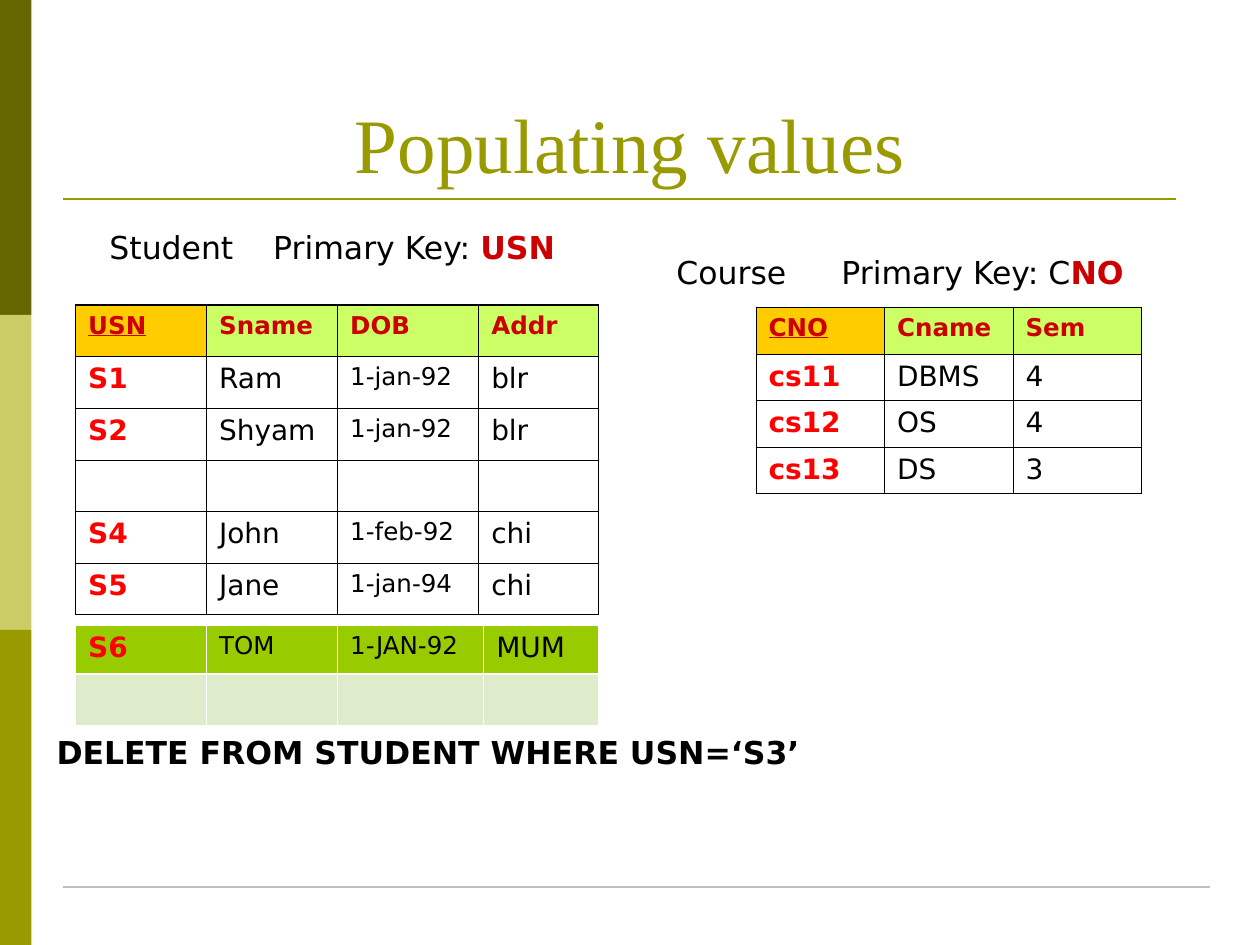
from dataclasses import dataclass

import pptx
import pptx.dml.color
import pptx.enum.shapes
import pptx.enum.text
import pptx.oxml
import pptx.oxml.ns
import pptx.util
from lxml import etree

Inches = pptx.util.Inches
Pt = pptx.util.Pt
rgb = pptx.dml.color.RGBColor.from_string
qn = pptx.oxml.ns.qn


@dataclass(frozen=True)
class Theme:
    title_font: str = "Times New Roman"
    text_font: str = "DejaVu Sans"
    title_size: int = 44
    label_size: int = 18
    value_size: int = 16
    small_size: int = 14
    black: str = "000000"
    white: str = "FFFFFF"
    dark_olive: str = "666600"
    pale_olive: str = "CCCC66"
    olive: str = "999900"
    silver: str = "C0C0C0"
    crimson: str = "CC0000"
    red: str = "FF0000"
    key_fill: str = "FFCC00"
    header_fill: str = "CCFF66"
    new_row_fill: str = "99CC00"
    spare_row_fill: str = "DEECCB"


@dataclass(frozen=True)
class Rule:
    left: float
    right: float
    top: float
    color: str
    weight: float


@dataclass(frozen=True)
class Label:
    left: float
    top: float
    width: float
    runs: tuple[tuple[str, str, bool], ...]
    tab: float = 0


@dataclass(frozen=True)
class Relation:
    left: float
    top: float
    columns: tuple[float, ...]
    row_height: float
    rows: tuple[tuple[str, ...], ...]
    small_columns: tuple[int, ...] = ()
    has_header: bool = True
    row_fills: tuple[str, ...] = ()
    border_color: str = "000000"
    left_weight: float = 0.45
    top_weight: float = 0.45
    inner_weight: float = 0.45


THEME = Theme()
THIN = 0.45
THICK = 1.08

RULES = (
    Rule(0.5, 9.33, 1.58, THEME.olive, 1.5),
    Rule(0.5, 9.6, 7.04, THEME.silver, 0.75),
)
LABELS = (
    Label(0.77, 1.76, 4.48, (("Student\tPrimary Key: ", THEME.black, False),
                             ("USN", THEME.crimson, True)), 1.3),
    Label(5.27, 1.96, 4.23, (("Course\tPrimary Key: C", THEME.black, False),
                             ("NO", THEME.crimson, True)), 1.31),
    Label(0.35, 5.77, 9.65,
          (("DELETE FROM STUDENT WHERE USN=‘S3’", THEME.black, True),)),
)
STUDENT = Relation(
    0.6, 2.42, (1.04, 1.04, 1.12, 0.95), 0.41,
    (("USN", "Sname", "DOB", "Addr"),
     ("S1", "Ram", "1-jan-92", "blr"),
     ("S2", "Shyam", "1-jan-92", "blr"),
     ("", "", "", ""),
     ("S4", "John", "1-feb-92", "chi"),
     ("S5", "Jane", "1-jan-94", "chi")),
    small_columns=(2,), left_weight=THICK, top_weight=THICK)
COURSE = Relation(
    6, 2.44, (1.02, 1.02, 1.02), 0.37,
    (("CNO", "Cname", "Sem"),
     ("cs11", "DBMS", "4"),
     ("cs12", "OS", "4"),
     ("cs13", "DS", "3")),
    top_weight=THICK)
NEW_STUDENT = Relation(
    0.6, 4.96, (1.04, 1.04, 1.16, 0.91), 0.39,
    (("S6", "TOM", "1-JAN-92", "MUM"), ("", "", "", "")),
    small_columns=(1, 2), has_header=False,
    row_fills=(THEME.new_row_fill, THEME.spare_row_fill),
    border_color=THEME.white, inner_weight=1.47)


def format_font(font, color: str, **values) -> None:
    for attribute, value in values.items():
        setattr(font, attribute, value)
    font.color.rgb = rgb(color)


def draw_sidebar(slide) -> None:
    height = 2.5
    for index, color in enumerate((THEME.dark_olive, THEME.pale_olive, THEME.olive)):
        band = slide.shapes.add_shape(
            pptx.enum.shapes.MSO_SHAPE.RECTANGLE, 0, Inches(index * height),
            Inches(0.25), Inches(height))
        band.shadow.inherit = False
        band.fill.solid()
        band.fill.fore_color.rgb = rgb(color)
        band.line.fill.background()


def draw_rule(slide, rule: Rule) -> None:
    line = slide.shapes.add_connector(
        pptx.enum.shapes.MSO_CONNECTOR.STRAIGHT, Inches(rule.left),
        Inches(rule.top), Inches(rule.right), Inches(rule.top))
    line.line.color.rgb = rgb(rule.color)
    line.line.width = Pt(rule.weight)
    etree.SubElement(line._element.spPr, qn("a:effectLst"))


def draw_title(slide, wording: str) -> None:
    title = slide.shapes.title
    bounds = {"left": 0.5, "top": 0.3, "width": 9, "height": 1.25}
    for attribute, value in bounds.items():
        setattr(title, attribute, Inches(value))
    frame = title.text_frame
    frame.text = wording
    frame.auto_size = pptx.enum.text.MSO_AUTO_SIZE.NONE
    frame.vertical_anchor = pptx.enum.text.MSO_ANCHOR.BOTTOM
    heading = frame.paragraphs[0]
    heading.alignment = pptx.enum.text.PP_ALIGN.CENTER
    format_font(heading.runs[0].font, THEME.olive,
                name=THEME.title_font, size=Pt(THEME.title_size))


def draw_label(slide, label: Label) -> None:
    frame = slide.shapes.add_textbox(
        Inches(label.left), Inches(label.top), Inches(label.width), Inches(0.4)).text_frame
    frame.word_wrap = True
    frame.auto_size = pptx.enum.text.MSO_AUTO_SIZE.SHAPE_TO_FIT_TEXT
    paragraph = frame.paragraphs[0]
    if label.tab:
        tabs = etree.SubElement(paragraph._p.get_or_add_pPr(), qn("a:tabLst"))
        etree.SubElement(tabs, qn("a:tab"), pos=str(Inches(label.tab)), algn="l")
    for wording, color, bold in label.runs:
        run = paragraph.add_run()
        run.text = wording
        format_font(run.font, color, name=THEME.text_font,
                    size=Pt(THEME.label_size), bold=bold)


def set_borders(cell, color: str, weights: dict[str, float]) -> None:
    properties = cell._tc.get_or_add_tcPr()
    for position, (side, weight) in enumerate(weights.items()):
        border = etree.Element(qn(f"a:ln{side}"), w=str(Pt(weight)))
        fill = etree.SubElement(border, qn("a:solidFill"))
        etree.SubElement(fill, qn("a:srgbClr"), val=color)
        properties.insert(position, border)


def fill_cell(cell, relation: Relation, row: int, column: int) -> None:
    is_header = relation.has_header and row == 0
    is_key = column == 0
    if is_header:
        fill = THEME.key_fill if is_key else THEME.header_fill
        color = THEME.crimson
    else:
        fill = relation.row_fills[row] if relation.row_fills else None
        color = THEME.red if is_key else THEME.black
    if fill:
        cell.fill.solid()
        cell.fill.fore_color.rgb = rgb(fill)
    else:
        cell.fill.background()
    is_small = is_header or column in relation.small_columns
    size = THEME.small_size if is_small else THEME.value_size
    wording = relation.rows[row][column]
    if wording:
        run = cell.text_frame.paragraphs[0].add_run()
        run.text = wording
        format_font(run.font, color, name=THEME.text_font, size=Pt(size),
                    bold=is_header or is_key, underline=is_header and is_key)
    is_last = row == len(relation.rows) - 1
    set_borders(cell, relation.border_color, {
        "L": THIN if column else relation.left_weight,
        "R": THIN,
        "T": relation.inner_weight if row else relation.top_weight,
        "B": THIN if is_last else relation.inner_weight})


def draw_relation(slide, relation: Relation) -> None:
    row_count, column_count = len(relation.rows), len(relation.columns)
    table = slide.shapes.add_table(
        row_count, column_count, Inches(relation.left), Inches(relation.top),
        Inches(sum(relation.columns)), Inches(relation.row_height * row_count)).table
    table.first_row = False
    table.horz_banding = False
    for column, width in enumerate(relation.columns):
        table.columns[column].width = Inches(width)
    for row in range(row_count):
        table.rows[row].height = Inches(relation.row_height)
        for column in range(column_count):
            fill_cell(table.cell(row, column), relation, row, column)


def main() -> None:
    deck = pptx.Presentation()
    deck.slide_width, deck.slide_height = Inches(10), Inches(7.5)
    slide = deck.slides.add_slide(deck.slide_layouts[5])
    draw_sidebar(slide)
    for rule in RULES:
        draw_rule(slide, rule)
    draw_title(slide, "Populating values")
    for relation in (STUDENT, COURSE, NEW_STUDENT):
        draw_relation(slide, relation)
    for label in LABELS:
        draw_label(slide, label)
    deck.save("out.pptx")


if __name__ == "__main__":
    main()
